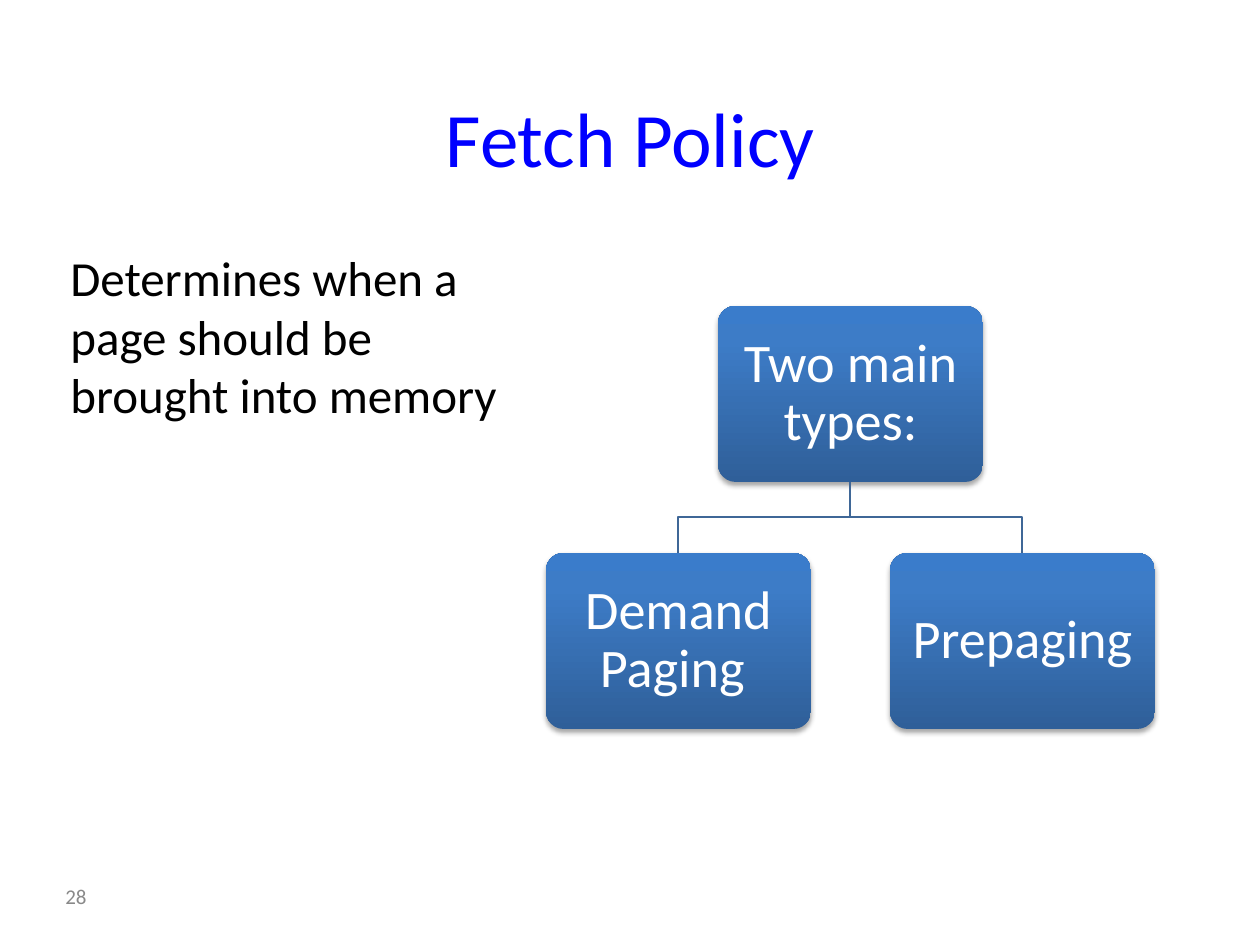
"""Build the Fetch Policy slide with its two-branch hierarchy."""
from dataclasses import dataclass

from lxml import etree
from pptx import Presentation
from pptx.dml.color import RGBColor
from pptx.enum.shapes import MSO_SHAPE
from pptx.enum.text import MSO_ANCHOR, PP_ALIGN
from pptx.oxml.ns import qn
from pptx.util import Emu, Pt

ROUNDED = MSO_SHAPE.ROUNDED_RECTANGLE
TOP, MIDDLE = MSO_ANCHOR.TOP, MSO_ANCHOR.MIDDLE
LEFT, CENTER = PP_ALIGN.LEFT, PP_ALIGN.CENTER
PX = 914400 // 126
FONT = "Calibri"
NODE_WIDTH, NODE_HEIGHT, NODE_INSET = 265, 176, 14
GRADIENT = ((0, "2F5F99"), (80, "3D7CC7"), (100, "3A7CCB"))


@dataclass(frozen=True)
class Label:
    text: str
    left: int
    top: int
    width: int
    height: int
    size: int
    color: str
    align: PP_ALIGN = LEFT
    anchor: MSO_ANCHOR = MIDDLE


@dataclass(frozen=True)
class Node:
    text: str
    left: int
    top: int

    @property
    def center(self) -> int:
        return self.left + NODE_WIDTH // 2

    @property
    def bottom(self) -> int:
        return self.top + NODE_HEIGHT


LABELS = (
    Label("Fetch Policy", 91, 63, 1079, 147, 44, "0000FF", CENTER),
    Label("Determines when a page should be brought into memory",
          58, 241, 472, 220, 28, "000000", anchor=TOP),
    Label("28", 53, 871, 136, 50, 12, "898989"),
)
ROOT = Node("Two main types:", 718, 306)
CHILDREN = (Node("Demand Paging ", 546, 553), Node("Prepaging", 890, 553))


def px(length: int) -> Emu:
    """Turn pixels into EMU."""
    return Emu(length * PX)


def rgb(color: str) -> RGBColor:
    """Turn a hex string into a colour."""
    return RGBColor.from_string(color)


def write(frame, text: str, size: int, color: str, align: PP_ALIGN, anchor: MSO_ANCHOR):
    """Fill a text frame with one formatted paragraph and return that paragraph."""
    frame.word_wrap = True
    frame.vertical_anchor = anchor
    frame.text = text
    paragraph = frame.paragraphs[0]
    paragraph.alignment = align
    font = paragraph.runs[0].font
    font.name, font.size, font.color.rgb = FONT, Pt(size), rgb(color)
    return paragraph


def add_label(slide, label: Label) -> None:
    """Add a text box."""
    box = slide.shapes.add_textbox(
        px(label.left), px(label.top), px(label.width), px(label.height))
    write(box.text_frame, label.text, label.size, label.color, label.align, label.anchor)


def add_color(parent, color: str):
    """Append an RGB colour element."""
    return etree.SubElement(parent, qn("a:srgbClr"), val=color)


def style_node(shape) -> None:
    """Give a node its vertical gradient and soft shadow."""
    shape.fill.gradient()
    shape.fill.gradient_angle = 90
    shape.line.fill.background()
    shape.shadow.inherit = False
    properties = shape._element.spPr
    stops = properties.find(qn("a:gradFill")).find(qn("a:gsLst"))
    for stop in list(stops):
        stops.remove(stop)
    for percent, color in GRADIENT:
        add_color(etree.SubElement(stops, qn("a:gs"), pos=str(percent * 1000)), color)
    shadow = etree.SubElement(
        properties.find(qn("a:effectLst")), qn("a:outerShdw"),
        blurRad=str(Pt(3.1)), dist=str(Pt(1.8)), dir="5400000", rotWithShape="0")
    etree.SubElement(add_color(shadow, "000000"), qn("a:alpha"), val="35000")


def add_node(slide, node: Node) -> None:
    """Add a rounded hierarchy node."""
    shape = slide.shapes.add_shape(
        ROUNDED, px(node.left), px(node.top), px(NODE_WIDTH), px(NODE_HEIGHT))
    shape.adjustments[0] = 0.1
    style_node(shape)
    frame = shape.text_frame
    frame.margin_left = frame.margin_right = px(NODE_INSET)
    frame.margin_top = frame.margin_bottom = px(NODE_INSET)
    write(frame, node.text, 31, "FFFFFF", CENTER, MIDDLE).line_spacing = 0.9


def add_branch(slide, parent: Node, child: Node) -> None:
    """Draw the stepped line from a parent to its child."""
    bend = (parent.bottom + child.top) // 2
    outline = slide.shapes.build_freeform(parent.center, parent.bottom, scale=PX)
    outline.add_line_segments(
        ((parent.center, bend), (child.center, bend), (child.center, child.top)),
        close=False)
    branch = outline.convert_to_shape()
    branch.fill.background()
    branch.line.color.rgb = rgb("3F6797")
    branch.line.width = Pt(0.75)
    branch.shadow.inherit = False


def main() -> None:
    """Build and save the slide."""
    deck = Presentation()
    deck.slide_width, deck.slide_height = px(1260), px(945)
    slide = deck.slides.add_slide(deck.slide_layouts[6])
    for label in LABELS:
        add_label(slide, label)
    add_node(slide, ROOT)
    for child in CHILDREN:
        add_branch(slide, ROOT, child)
        add_node(slide, child)
    deck.save("out.pptx")


if __name__ == "__main__":
    main()
